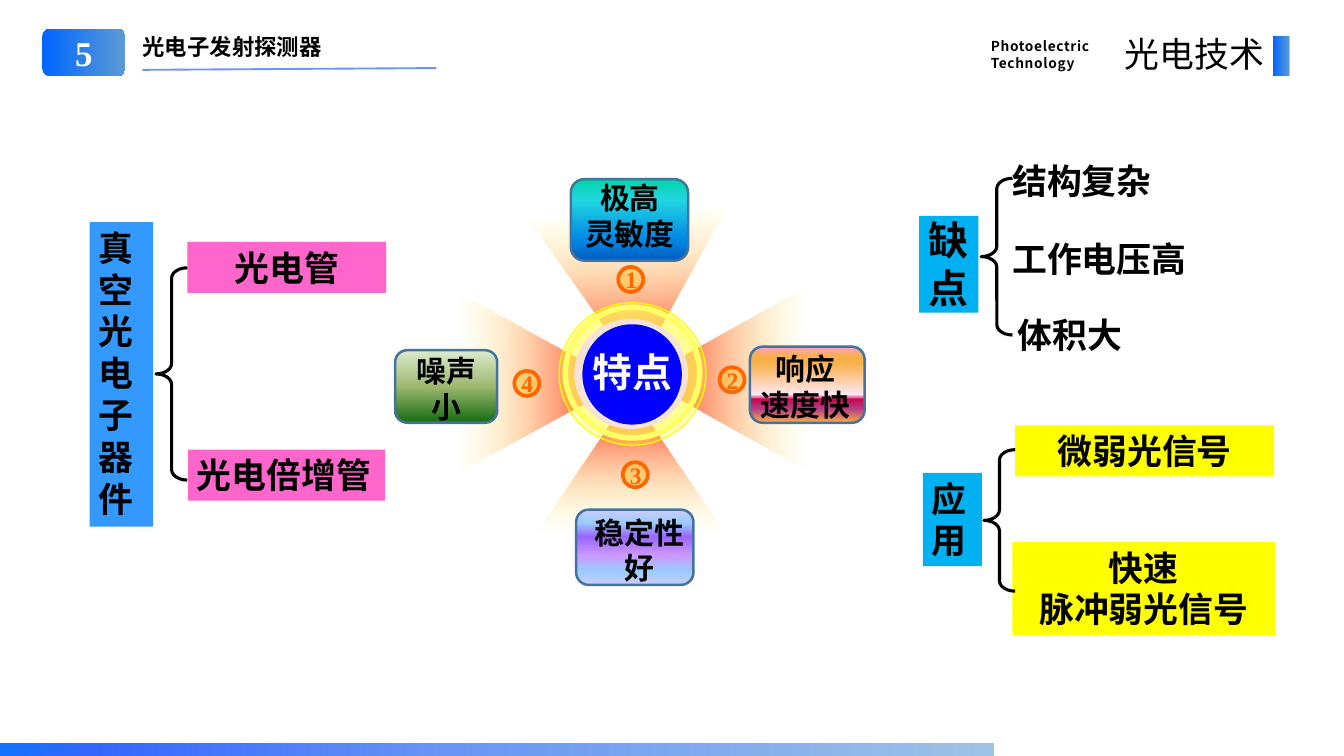
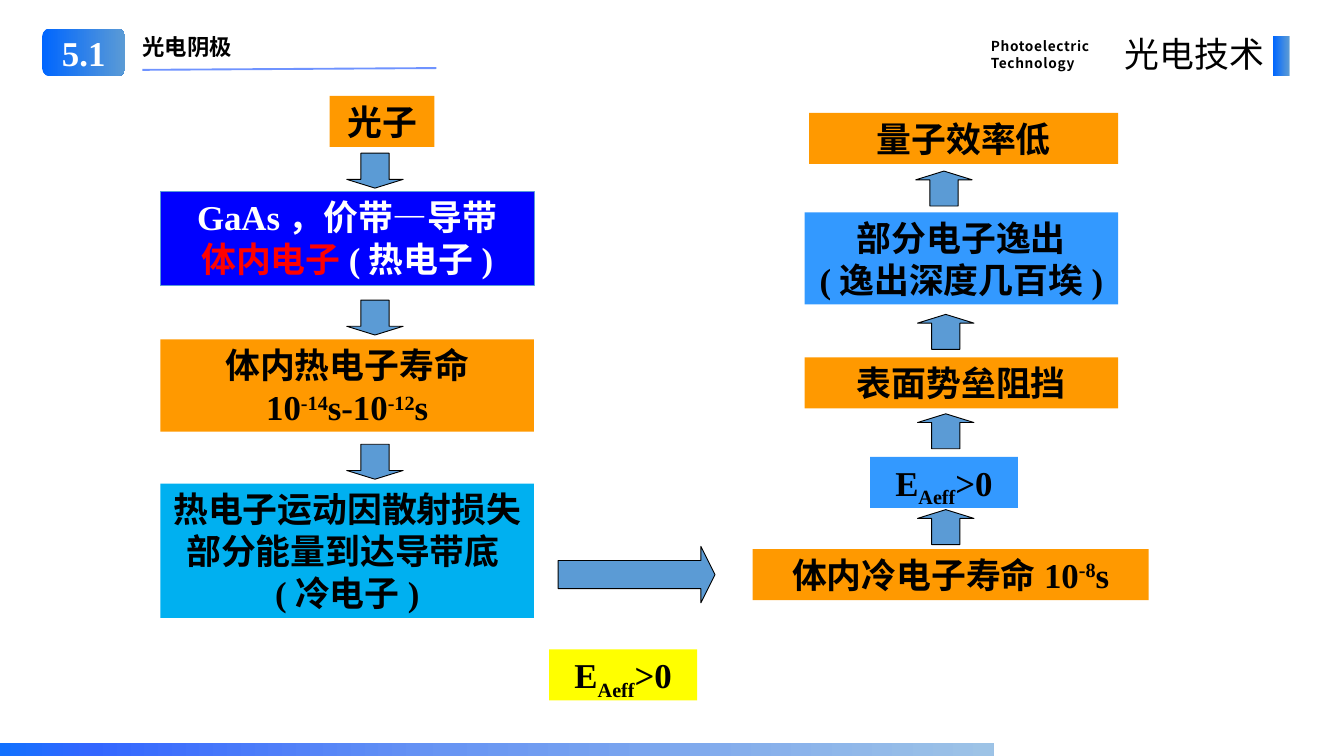
from lxml.etree import SubElement as Sub
from pptx import Presentation
from pptx.dml.color import RGBColor
from pptx.enum.shapes import MSO_CONNECTOR as Conn, MSO_SHAPE as Kind
from pptx.enum.text import MSO_ANCHOR as Anchor, MSO_AUTO_SIZE as Fit, PP_ALIGN as Align
from pptx.oxml import parse_xml
from pptx.oxml.ns import nsdecls, qn
from pptx.util import Inches, Pt

rgb = RGBColor.from_string
BLACK, WHITE = RGBColor(0, 0, 0), RGBColor(255, 255, 255)
RED, BLUE = RGBColor(255, 0, 0), RGBColor(0, 0, 255)
YELLOW, LEMON = RGBColor(255, 255, 0), RGBColor(255, 255, 102)
SKY, CYAN = RGBColor(51, 153, 255), RGBColor(0, 176, 240)
PINK, AMBER = RGBColor(255, 102, 204), RGBColor(255, 153, 0)
STEEL, RIM = RGBColor(91, 155, 213), RGBColor(67, 115, 158)
GOLD, FLAME = RGBColor(255, 192, 0), RGBColor(255, 102, 0)
AZURE, ROYAL = RGBColor(0, 102, 255), RGBColor(51, 102, 255)
CREAM = RGBColor(247, 227, 213)
SERIF, SANS = "Times New Roman", "Noto Sans CJK SC"
LEFT, MID, RIGHT = Align.LEFT, Align.CENTER, Align.RIGHT

BADGE = [(0, AZURE), (100, STEEL)]
BAND = [(0, rgb("1271FE")), (9, ROYAL), (45, rgb("6895F3")), (100, rgb("9DC3E6"))]
GLOW = [(0, RED), (100, LEMON, 0)]
BRAND = "光电技术"
COURSE = ["Photoelectric", "Technology"]

LABELS = [
    ((1, 2.48, 0.71, 3.4), SKY, ["真空光电子器件"], LEFT),
    ((2.09, 2.7, 2.22, 0.57), PINK, ["光电管"], MID),
    ((2.1, 5.02, 2.2, 0.57), PINK, ["光电倍增管"], LEFT),
    ((11.33, 4.75, 2.89, 0.57), YELLOW, ["微弱光信号"], MID),
    ((11.2, 1.73, 2.01, 0.57), None, ["结构复杂"], LEFT),
    ((10.3, 5.28, 0.66, 1.04), CYAN, ["应用"], LEFT),
    ((11.2, 2.61, 2.24, 0.57), None, ["工作电压高"], LEFT),
    ((11.26, 3.45, 1.55, 0.57), None, ["体积大"], LEFT),
    ((11.3, 6.05, 2.93, 1.04), YELLOW, ["快速", "脉冲弱光信号"], MID),
]
FAULT = (10.26, 2.41, 0.66, 1.08)
BRACES = [(1.74, 2.99, 0.35, 2.37), (10.95, 1.99, 0.35, 1.75), (10.98, 5.02, 0.35, 1.58)]
RAYS = [
    ((7.06, 3.3, 2.08, 1.85), 270),
    ((5.95, 2.4, 2.2, 1.75), 176.9),
    ((5.99, 4.39, 2.1, 1.56), 0),
    ((5, 3.34, 2.04, 1.86), 90),
]
RINGS = [
    ((6.24, 3.38, 1.64, 1.59), (YELLOW, 25), (YELLOW, 1)),
    ((6.31, 3.43, 1.5, 1.46), (LEMON, 50), (LEMON, 4.5)),
    ((6.41, 3.56, 1.27, 1.23), CREAM, None),
    ((6.5, 3.62, 1.11, 1.12), BLUE, None),
]
HUB = (6.49, 3.88, 1.13, 0.54)
CARDS = [
    ((6.37, 2, 1.31, 0.91), (6.3, 2.01, 1.46, 0.81), ["极高", "灵敏度"],
     "0 03D4A8 25 21D6E0 75 0087E6 100 005CBF"),
    ((8.37, 3.87, 1.28, 0.85), (8.31, 3.92, 1.36, 0.81), ["响应", "速度快"],
     "0 FC9FCB 13 F8B049 21 F8B049 63 FEE7F2 67 F952A0 69 C50849 82 B43E85 100 F8B049"),
    ((6.43, 5.69, 1.31, 0.84), (6.53, 5.74, 1.21, 0.81), ["稳定性", "好"],
     "0 CCCCFF 18 99CCFF 36 9966FF 61 CC99FF 82 99CCFF 100 CCCCFF"),
    ((4.41, 3.91, 1.14, 0.81), (4.48, 3.94, 1.01, 0.81), ["噪声", "小"],
     "0 DDEBCF 50 9CB86E 100 156B13"),
]
DOTS = [(6.9, 2.98), (8.03, 4.1), (6.95, 5.16), (5.74, 4.14)]

ENERGY = [[("E",), ("Aeff", -25), (">0",)]]
STEPS = [
    ((3.68, 1.07, 1.17, 0.57), AMBER, ["光子"]),
    ((1.79, 3.79, 4.17, 1.03), AMBER,
     ["体内热电子寿命", [("10",), ("-14", 30), ("s-10",), ("-12", 30), ("s",)]]),
    ((1.79, 5.4, 4.17, 1.5), CYAN, ["热电子运动因散射损失部分能量到达导带底(冷电子)"]),
    ((8.4, 6.13, 4.42, 0.57), AMBER, [[("体内冷电子寿命10",), ("-8", 30), ("s",)]]),
    ((9.71, 5.1, 1.65, 0.57), SKY, ENERGY),
    ((8.98, 3.99, 3.5, 0.57), AMBER, ["表面势垒阻挡"]),
    ((8.98, 2.37, 3.5, 1.03), SKY, ["部分电子逸出", "(逸出深度几百埃)"]),
    ((9.03, 1.26, 3.45, 0.57), AMBER, ["量子效率低"]),
    ((6.13, 7.25, 1.65, 0.57), YELLOW, ENERGY),
]
BULK = (1.79, 2.14, 4.17, 1.05)
BANDS = ["GaAs，价带—导带", [("体内电子", 0, RED), ("(热电子)",)]]
DOWN = [(3.87, y) for y in (1.71, 3.35, 4.96)]
UP = [(10.24, 5.69), (10.24, 4.62), (10.24, 3.51), (10.22, 1.91)]
ACROSS = (6.79, 5.54, 0.63, 1.75)


def fade(node, pct):
    """Set the opacity of a colour node in percent."""
    Sub(node, qn("a:alpha")).set("val", str(pct * 1000))


def blend(shape, stops, angle):
    """Fill a shape with a linear gradient."""
    shape.fill.solid()
    props = shape._element.spPr
    grad = parse_xml(f'<a:gradFill {nsdecls("a")} rotWithShape="1"><a:gsLst/></a:gradFill>')
    for pos, color, *alpha in stops:
        stop = Sub(grad[0], qn("a:gs"), pos=str(pos * 1000))
        node = Sub(stop, qn("a:srgbClr"), val=str(color))
        if alpha:
            fade(node, alpha[0])
    Sub(grad, qn("a:lin"), ang=str(angle * 60000), scaled="0")
    props.replace(props.find(qn("a:solidFill")), grad)


def put(slide, kind, at, fill=None, line=None, rot=0, angle=0):
    """Add a preset shape with a plain, clear or gradient fill."""
    shape = slide.shapes.add_shape(kind, *map(Inches, at))
    shape.shadow.inherit = False
    shape.rotation = rot
    if fill is None:
        shape.fill.background()
    elif isinstance(fill, list):
        blend(shape, fill, angle)
    else:
        color, alpha = (fill, None) if isinstance(fill, RGBColor) else fill
        shape.fill.solid()
        shape.fill.fore_color.rgb = color
        if alpha:
            fade(shape._element.spPr.find(qn("a:solidFill"))[0], alpha)
    if line:
        shape.line.color.rgb, shape.line.width = line[0], Pt(line[1])
    else:
        shape.line.fill.background()
    return shape


def write(shape, paras, size=28, color=BLACK, align=MID, font=SERIF, bold=True,
          gap=0, lead=None, bare=False, grow=True):
    """Fill a shape's text frame run by run."""
    frame = shape.text_frame
    frame.word_wrap = True
    frame.auto_size = Fit.SHAPE_TO_FIT_TEXT if grow else Fit.NONE
    frame.vertical_anchor = Anchor.TOP if grow else Anchor.MIDDLE
    side, edge = (0, 0) if bare else (Inches(0.1), Inches(0.05))
    frame.margin_left = frame.margin_right = side
    frame.margin_top = frame.margin_bottom = edge
    for i, runs in enumerate(paras):
        para = frame.add_paragraph() if i else frame.paragraphs[0]
        para.alignment = align
        if lead:
            para.line_spacing = Pt(lead)
        for text, *opts in [(runs,)] if isinstance(runs, str) else runs:
            run = para.add_run()
            run.text = text
            face = run.font
            face.size, face.bold, face.name = Pt(size), bold, font
            face.color.rgb = opts[1] if len(opts) > 1 else color
            props = run._r.get_or_add_rPr()
            Sub(props, qn("a:ea"), typeface=SANS)
            if opts and opts[0]:
                props.set("baseline", str(opts[0] * 1000))
            if gap:
                props.set("spc", str(gap))


def note(slide, at, paras, **style):
    """Add a text box."""
    write(slide.shapes.add_textbox(*map(Inches, at)), paras, **style)


def frame(deck, number, title):
    """Add a slide with the shared header and bottom band."""
    slide = deck.slides.add_slide(deck.slide_layouts[5])
    head = slide.shapes.title
    head.left, head.top, head.width, head.height = map(Inches, (1.49, 0.32, 3.5, 0.4))
    write(head, [title], 18, align=LEFT, font=SANS)
    note(slide, (10.96, 0.36, 1.58, 0.49), COURSE, size=11, align=LEFT, font=SANS,
         gap=50, lead=14)
    put(slide, Kind.RECTANGLE, (14.21, 0.4, 0.18, 0.45), BADGE)
    badge = put(slide, Kind.ROUNDED_RECTANGLE, (0.47, 0.32, 0.93, 0.53), BADGE)
    write(badge, [number], color=WHITE, grow=False)
    rule = slide.shapes.add_connector(Conn.STRAIGHT, *map(Inches, (1.59, 0.78, 4.87, 0.76)))
    rule.line.color.rgb, rule.line.width = ROYAL, Pt(1.5)
    props = rule._element.spPr
    fade(props.find(".//" + qn("a:srgbClr")), 70)
    Sub(props, qn("a:effectLst"))
    note(slide, (12.31, 0.32, 1.9, 0.57), [BRAND], align=RIGHT, font=SANS, bold=False, gap=20)
    put(slide, Kind.RECTANGLE, (0, 8.3, 11.09, 0.14), BAND)
    return slide


def traits(deck):
    """Build the overview of vacuum devices."""
    slide = frame(deck, "5", "光电子发射探测器")
    for at, fill, text, align in LABELS:
        if fill:
            write(put(slide, Kind.RECTANGLE, at, fill), text, align=align)
        else:
            note(slide, at, text, align=align)
    write(put(slide, Kind.RECTANGLE, FAULT, CYAN), ["缺点"], 32, bare=True)
    for at in BRACES:
        brace = put(slide, Kind.LEFT_BRACE, at, line=(BLACK, 2.5))
        brace.adjustments[0] = 0.33
    for at, rot in RAYS:
        put(slide, Kind.ISOSCELES_TRIANGLE, at, GLOW, rot=rot, angle=90)
    for at, fill, line in RINGS:
        put(slide, Kind.OVAL, at, fill, line)
    note(slide, HUB, ["特点"], size=32, color=WHITE, bare=True)
    for at, area, text, tones in CARDS:
        parts = tones.split()
        stops = [(int(p), rgb(c)) for p, c in zip(parts[::2], parts[1::2])]
        put(slide, Kind.ROUNDED_RECTANGLE, at, stops, (RIM, 2), angle=90)
        note(slide, area, text, size=24, bare=True)
    for i, (x, y) in enumerate(DOTS, 1):
        put(slide, Kind.OVAL, (x, y, 0.28, 0.28), (GOLD, 33), (FLAME, 3))
        note(slide, (x + 0.08, y - 0.02, 0.16, 0.32), [str(i)], size=19, color=FLAME,
             align=LEFT, bare=True)


def flow(deck):
    """Build the flow from photon to low yield."""
    slide = frame(deck, "5.1", "光电阴极")
    bulk = put(slide, Kind.RECTANGLE, BULK, BLUE, (STEEL, 0.75))
    write(bulk, BANDS, color=WHITE)
    for at, fill, text in STEPS:
        write(put(slide, Kind.RECTANGLE, at, fill), text)
    arrows = [((*spot, 0.63, 0.39), rot) for spots, rot in ((DOWN, 0), (UP, 180))
              for spot in spots]
    for at, rot in arrows + [(ACROSS, 270)]:
        arrow = put(slide, Kind.DOWN_ARROW, at, STEEL, (BLACK, 0.75), rot)
        arrow.adjustments[0], arrow.adjustments[1] = 0.5, 0.25


def main():
    """Build and save the deck."""
    deck = Presentation()
    deck.slide_width, deck.slide_height = Inches(15), Inches(8.44)
    traits(deck)
    flow(deck)
    deck.save("out.pptx")


if __name__ == "__main__":
    main()
